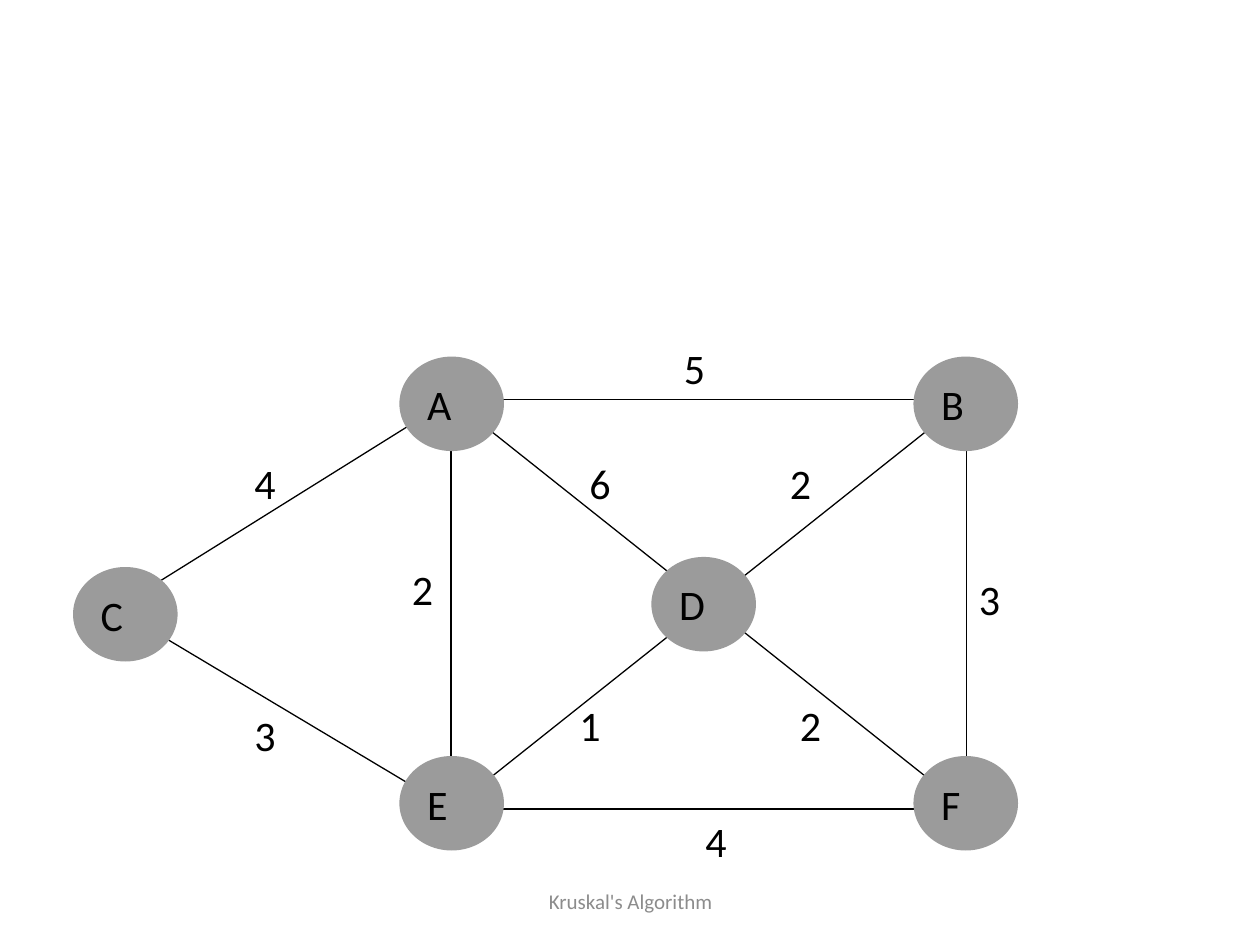
"""Build a slide with a weighted graph for Kruskal's algorithm."""
from lxml import etree
from pptx import Presentation
from pptx.dml.color import RGBColor
from pptx.enum.shapes import MSO_CONNECTOR, MSO_SHAPE
from pptx.enum.text import MSO_ANCHOR, PP_ALIGN
from pptx.oxml.ns import qn
from pptx.util import Inches, Pt

BLACK = RGBColor(0x00, 0x00, 0x00)
NODE_GREY = RGBColor(0x9B, 0x9B, 0x9B)
FOOTER_GREY = RGBColor(0x8C, 0x8C, 0x8C)
FONT = "Calibri"
NODE_SIZE = (0.83, 0.75)
LABEL_SIZE = (0.5, 0.5)

NODES = {
    "C": (0.58, 4.5),
    "F": (7.25, 6),
    "E": (3.17, 6),
    "A": (3.17, 2.83),
    "B": (7.25, 2.83),
    "D": (5.17, 4.42),
}
EDGE_ENDS = {
    "A": (3.58, 3.17),
    "B": (7.67, 3.17),
    "C": (0.92, 4.83),
    "D left": (5.58, 4.83),
    "D right": (5.67, 4.83),
    "E": (3.58, 6.42),
    "F": (7.67, 6.42),
}
EDGES = [
    ("E", "F", "4", (5.5, 6.42)),
    ("F", "B", "3", (7.67, 4.5)),
    ("B", "A", "5", (5.33, 2.67)),
    ("A", "E", "2", (3.17, 4.42)),
    ("D right", "F", "2", (6.25, 5.5)),
    ("A", "D right", "6", (4.58, 3.58)),
    ("D left", "E", "1", (4.5, 5.5)),
    ("D left", "B", "2", (6.17, 3.58)),
    ("C", "A", "4", (1.92, 3.58)),
    ("C", "E", "3", (1.92, 5.58)),
]


def inches(*lengths):
    return [Inches(length) for length in lengths]


def write(shape, text, size=24, color=BLACK, align=PP_ALIGN.LEFT, anchor=MSO_ANCHOR.MIDDLE):
    frame = shape.text_frame
    frame.word_wrap = True
    frame.vertical_anchor = anchor
    paragraph = frame.paragraphs[0]
    paragraph.alignment = align
    run = paragraph.add_run()
    run.text = text
    run.font.name = FONT
    run.font.size = Pt(size)
    run.font.color.rgb = color


def add_edge(shapes, start, end):
    edge = shapes.add_connector(MSO_CONNECTOR.STRAIGHT, *inches(*start, *end))
    edge.line.color.rgb = BLACK
    edge.line.width = Pt(0.75)
    etree.SubElement(edge.element.spPr, qn("a:effectLst"))


def add_node(shapes, name, position):
    node = shapes.add_shape(MSO_SHAPE.OVAL, *inches(*position, *NODE_SIZE))
    node.shadow.inherit = False
    node.fill.solid()
    node.fill.fore_color.rgb = NODE_GREY
    node.line.fill.background()
    write(node, name)


prs = Presentation()
prs.slide_width, prs.slide_height = inches(10, 7.5)
shapes = prs.slides.add_slide(prs.slide_layouts[6]).shapes

footer = shapes.add_textbox(*inches(3.42, 6.95, 3.17, 0.4))
write(footer, "Kruskal's Algorithm", 12, FOOTER_GREY, PP_ALIGN.CENTER)

for start, end, _, _ in EDGES:
    add_edge(shapes, EDGE_ENDS[start], EDGE_ENDS[end])
for name, position in NODES.items():
    add_node(shapes, name, position)
for _, _, weight, position in EDGES:
    label = shapes.add_textbox(*inches(*position, *LABEL_SIZE))
    write(label, weight, anchor=MSO_ANCHOR.TOP)

prs.save("out.pptx")
